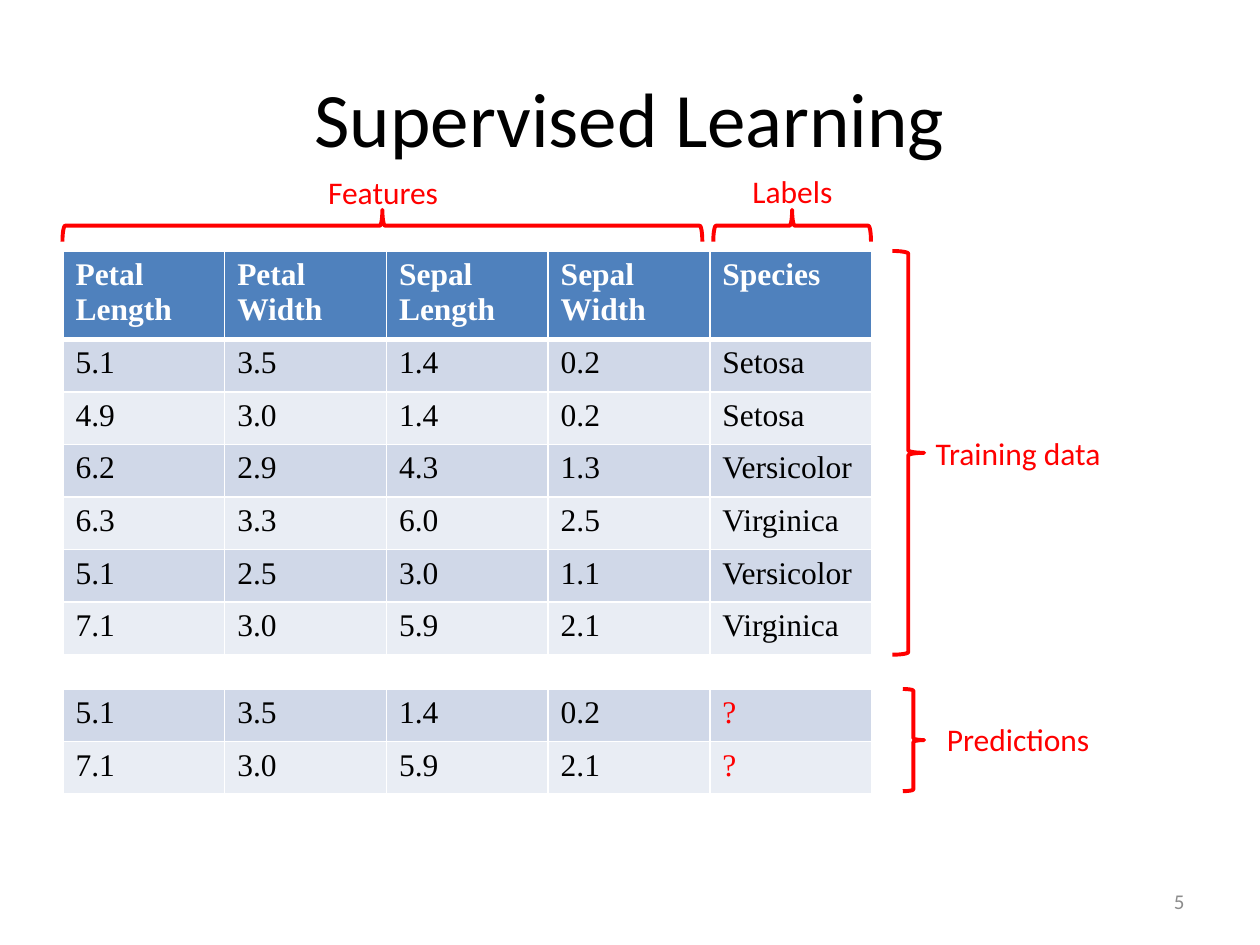
from pptx import Presentation
from pptx.dml.color import RGBColor as RGB
from pptx.enum.shapes import MSO_SHAPE as Shape
from pptx.enum.text import MSO_ANCHOR as Anchor, PP_ALIGN as Align
from pptx.oxml.ns import qn
from pptx.util import Cm, Pt
from lxml.etree import SubElement as Sub

BLACK = RGB(0x00, 0x00, 0x00)
WHITE = RGB(0xFF, 0xFF, 0xFF)
RED = RGB(0xFF, 0x00, 0x00)
GRAY = RGB(0x8C, 0x8C, 0x8C)
BLUE = RGB(0x4F, 0x81, 0xBD)
BANDS = (RGB(0xD0, 0xD8, 0xE8), RGB(0xE9, 0xED, 0xF4))

HEAD = ("Petal Length", "Petal Width", "Sepal Length", "Sepal Width", "Species")
TRAIN = (
    ("5.1", "3.5", "1.4", "0.2", "Setosa"),
    ("4.9", "3.0", "1.4", "0.2", "Setosa"),
    ("6.2", "2.9", "4.3", "1.3", "Versicolor"),
    ("6.3", "3.3", "6.0", "2.5", "Virginica"),
    ("5.1", "2.5", "3.0", "1.1", "Versicolor"),
    ("7.1", "3.0", "5.9", "2.1", "Virginica"),
)
TEST = (
    ("5.1", "3.5", "1.4", "0.2", "?"),
    ("7.1", "3.0", "5.9", "2.1", "?"),
)


def write(frame, text, size=18, font="Calibri", color=BLACK, bold=False,
          align=Align.LEFT):
    """Put one formatted paragraph in a text frame."""
    para = frame.paragraphs[0]
    para.alignment = align
    run = para.add_run()
    run.text = text
    run.font.size = Pt(size)
    run.font.name = font
    run.font.bold = bold
    run.font.color.rgb = color


def edge(cell, side, width):
    """Draw one white cell border."""
    line = Sub(cell._tc.get_or_add_tcPr(), qn("a:" + side), w=str(Pt(width)))
    Sub(Sub(line, qn("a:solidFill")), qn("a:srgbClr"), val=str(WHITE))


class Page:
    left, col, row = 1.27, 3.26, 1.06
    serif = "Times New Roman"

    def __init__(self, slide):
        self.shapes = slide.shapes

    def text(self, text, x, y, w, h, anchor=Anchor.TOP, **style):
        box = self.shapes.add_textbox(Cm(x), Cm(y), Cm(w), Cm(h))
        frame = box.text_frame
        frame.word_wrap = True
        frame.vertical_anchor = anchor
        write(frame, text, **style)

    def label(self, text, x, y):
        self.text(text, x, y, 4.65, 1.02, color=RED, align=Align.CENTER)

    def brace(self, x, y, w, h, up=False):
        """Fill the box with a brace that points right, or up."""
        if up:  # the box is turned about its centre
            x, y, w, h = x + (w - h) / 2, y + (h - w) / 2, h, w
        mark = self.shapes.add_shape(Shape.RIGHT_BRACE, Cm(x), Cm(y), Cm(w), Cm(h))
        mark.rotation = 270 if up else 0
        mark.shadow.inherit = False
        mark.fill.background()
        mark.line.color.rgb = RED
        mark.line.width = Pt(2.25)

    def table(self, rows, y, head=None):
        lines = ((head,) if head else ()) + rows
        first = 1 if head else 0
        size = len(lines), len(lines[0])
        grid = self.shapes.add_table(
            *size, Cm(self.left), Cm(y),
            Cm(self.col * size[1]), Cm(self.row * size[0])).table
        grid.first_row = bool(head)
        for col in grid.columns:
            col.width = Cm(self.col)
        for r, line in enumerate(lines):
            grid.rows[r].height = Cm(self.row)
            top = r < first
            for c, text in enumerate(line):
                cell = grid.cell(r, c)
                edge(cell, "lnL", 1)
                edge(cell, "lnR", 1)
                edge(cell, "lnT", 3 if head and r == first else 1)
                edge(cell, "lnB", 3 if top else 1)
                cell.fill.solid()
                cell.fill.fore_color.rgb = BLUE if top else BANDS[(r - first) % 2]
                color = WHITE if top else RED if text == "?" else BLACK
                write(cell.text_frame, text, font=self.serif, color=color, bold=top)


def main():
    deck = Presentation()
    deck.slide_width, deck.slide_height = Cm(25.4), Cm(19.05)
    page = Page(deck.slides.add_slide(deck.slide_layouts[6]))

    # Title and page number
    page.text("Supervised Learning", 1.27, 0.76, 22.86, 3.18, Anchor.MIDDLE,
              size=44, align=Align.CENTER)
    page.text("5", 18.2, 17.66, 5.93, 1.01, Anchor.MIDDLE,
              size=12, color=GRAY, align=Align.RIGHT)

    # Training table with its braces
    page.table(TRAIN, 5.06, HEAD)
    page.brace(1.26, 4.23, 12.9, 0.64, up=True)
    page.brace(14.38, 4.23, 3.18, 0.64, up=True)
    page.label("Features", 5.4, 3.36)
    page.label("Labels", 13.65, 3.34)
    page.brace(17.99, 5.06, 0.64, 8.14)
    page.label("Training data", 18.2, 8.62)

    # Prediction table with its brace
    page.table(TEST, 13.89)
    page.brace(18.2, 13.89, 0.43, 2.06)
    page.label("Predictions", 18.2, 14.39)

    deck.save("out.pptx")


if __name__ == "__main__":
    main()
